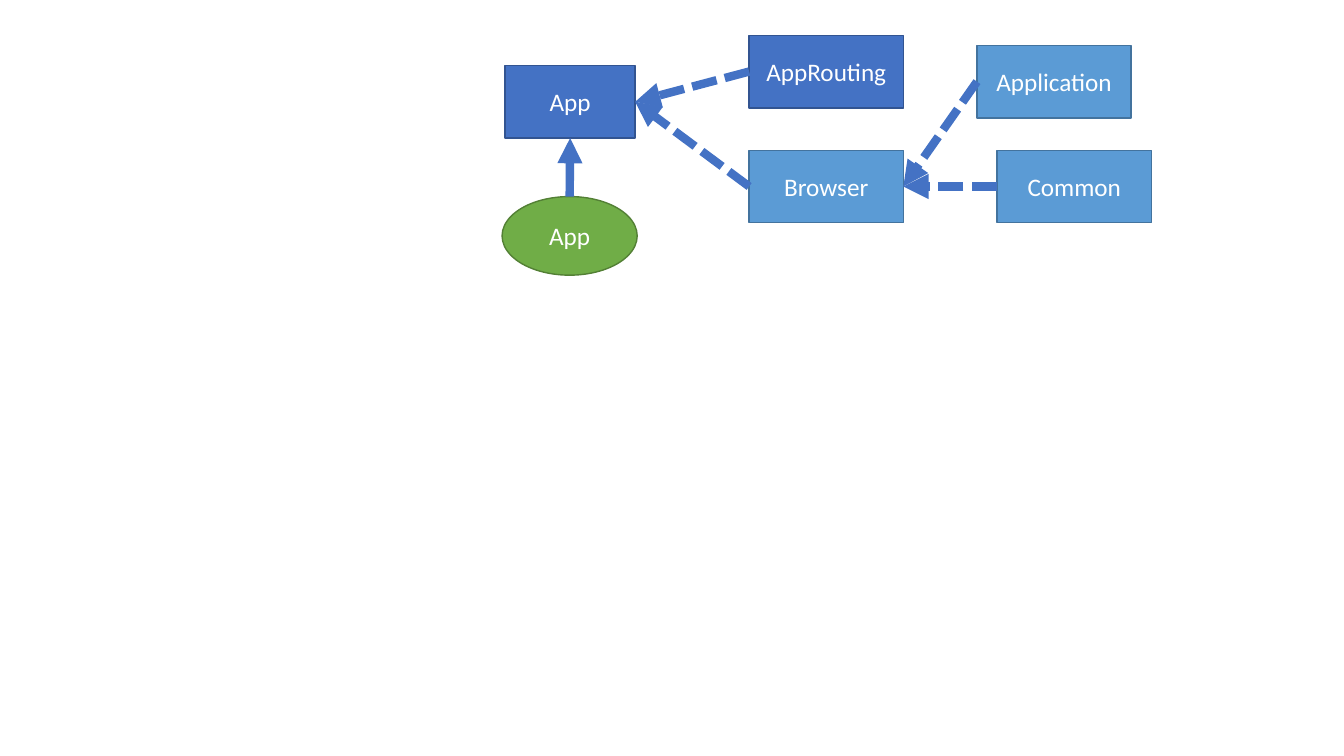
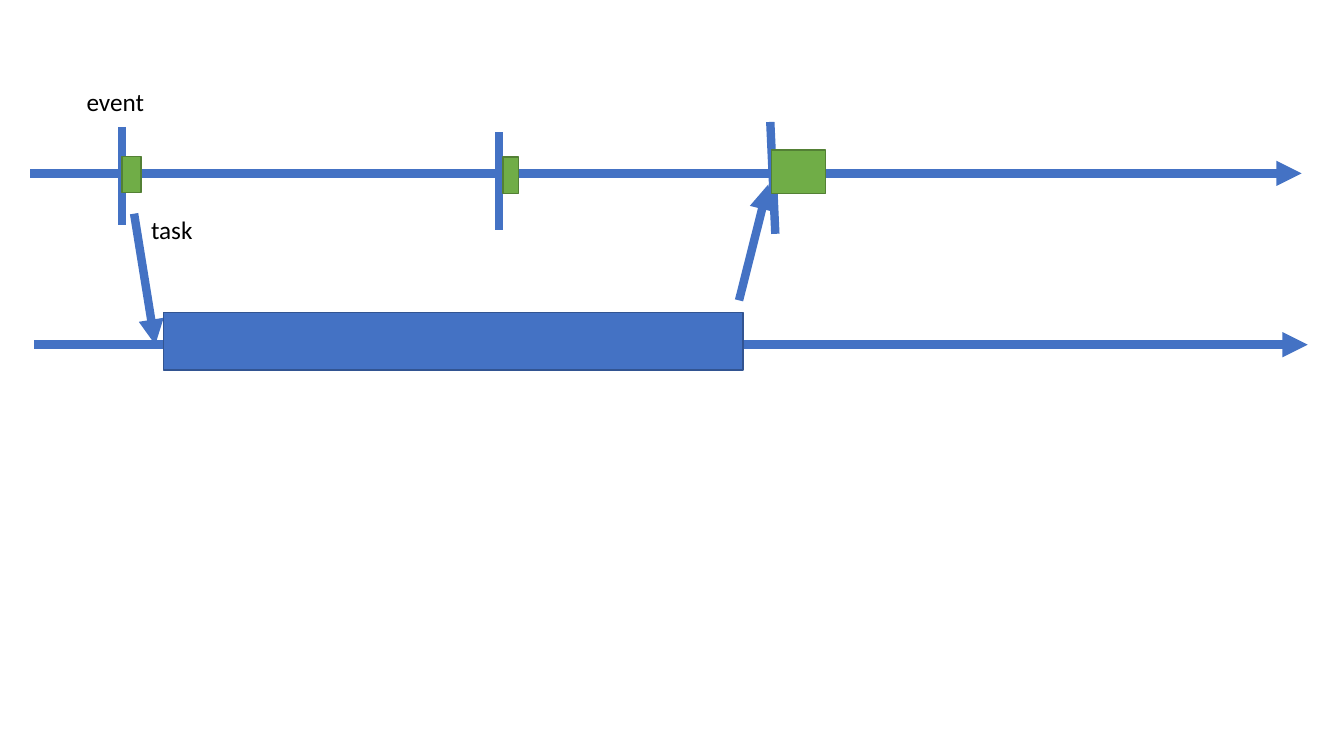
from pptx import Presentation
from pptx.dml.color import RGBColor
from pptx.enum.dml import MSO_LINE
from pptx.enum.shapes import MSO_CONNECTOR, MSO_SHAPE
from pptx.enum.text import MSO_ANCHOR, MSO_AUTO_SIZE, PP_ALIGN
from pptx.oxml.ns import qn
from pptx.util import Emu, Pt
from lxml import etree

PX = 9144  # 100 px to the inch
SLIDE_WIDTH, SLIDE_HEIGHT = 1333, 750
FONT, FONT_SIZE = "Calibri", Pt(18)

BLUE = RGBColor(0x44, 0x72, 0xC4)
WHITE = RGBColor(0xFF, 0xFF, 0xFF)
BLACK = RGBColor(0x00, 0x00, 0x00)
# (fill, outline)
BLUE_STYLE = (BLUE, RGBColor(0x32, 0x54, 0x91))
LIGHT_STYLE = (RGBColor(0x5B, 0x9B, 0xD5), RGBColor(0x43, 0x73, 0x9E))
GREEN_STYLE = (RGBColor(0x70, 0xAD, 0x47), RGBColor(0x53, 0x80, 0x35))

RECTANGLE, OVAL = MSO_SHAPE.RECTANGLE, MSO_SHAPE.OVAL
STRAIGHT = MSO_CONNECTOR.STRAIGHT
DASHED = MSO_LINE.SQUARE_DOT
CENTER, MIDDLE = PP_ALIGN.CENTER, MSO_ANCHOR.MIDDLE
GROW = MSO_AUTO_SIZE.SHAPE_TO_FIT_TEXT
TOP, LEFT, BOTTOM, RIGHT = range(4)


def px(value):
    return Emu(int(value * PX))


def place(origin, box):
    """Turn a box (left, top, width, height) inside a region into slide EMU."""
    left, top, width, height = box
    return px(origin[0] + left), px(origin[1] + top), px(width), px(height)


def write(paragraph, text, color):
    run = paragraph.add_run()
    run.text = text
    run.font.name = FONT
    run.font.size = FONT_SIZE
    run.font.color.rgb = color


def add_block(slide, origin, box, style, text="", kind=RECTANGLE):
    shape = slide.shapes.add_shape(kind, *place(origin, box))
    fill, outline = style
    shape.shadow.inherit = False
    shape.fill.solid()
    shape.fill.fore_color.rgb = fill
    shape.line.color.rgb = outline
    shape.line.width = Pt(1)
    if text:
        shape.text_frame.vertical_anchor = MIDDLE
        paragraph = shape.text_frame.paragraphs[0]
        paragraph.alignment = CENTER
        write(paragraph, text, WHITE)
    return shape


def add_label(slide, origin, box, text):
    frame = slide.shapes.add_textbox(*place(origin, box)).text_frame
    frame.word_wrap = False
    frame.auto_size = GROW
    write(frame.paragraphs[0], text, BLACK)


def add_line(slide, origin=(0, 0), start=(0, 0), end=(0, 0), arrow=True, dashed=False):
    points = [px(base + offset) for point in (start, end)
              for base, offset in zip(origin, point)]
    connector = slide.shapes.add_connector(STRAIGHT, *points)
    connector.line.color.rgb = BLUE
    connector.line.width = Pt(6)
    if dashed:
        connector.line.dash_style = DASHED
    if arrow:
        etree.SubElement(connector.line._get_or_add_ln(), qn("a:tailEnd"), type="triangle")
    etree.SubElement(connector._element.spPr, qn("a:effectLst"))
    return connector


def join(slide, source, source_side, target, target_side, dashed=True):
    connector = add_line(slide, dashed=dashed)
    connector.begin_connect(source, source_side)
    connector.end_connect(target, target_side)


def draw_modules(slide, origin):
    """Modules that import one another, and the component that starts them."""
    width, height = 153, 72
    app = add_block(slide, origin, (3, 30, 129, height), BLUE_STYLE, "App")
    component = add_block(slide, origin, (0, 160, 134, 78), GREEN_STYLE, "App", OVAL)
    modules = {
        name: add_block(slide, origin, (left, top, width, height), style, name)
        for name, left, top, style in (
            ("AppRouting", 245, 0, BLUE_STYLE),
            ("Browser", 245, 114, LIGHT_STYLE),
            ("Common", 491, 114, LIGHT_STYLE),
            ("Application", 471, 10, LIGHT_STYLE),
        )
    }
    join(slide, component, TOP, app, BOTTOM, dashed=False)
    for name in ("AppRouting", "Browser"):
        join(slide, modules[name], LEFT, app, RIGHT)
    for name in ("Common", "Application"):
        join(slide, modules[name], LEFT, modules["Browser"], RIGHT)


def draw_timelines(slide, origin):
    """An event timeline above, and the timeline of the task it starts below."""
    for start, end in (((0, 91), (1261, 91)),
                       ((4, 261), (1267, 261)),
                       ((103, 131), (124, 261)),
                       ((703, 217), (732, 102))):
        add_line(slide, origin, start, end)
    add_block(slide, origin, (132, 229, 575, 57), BLUE_STYLE)

    for tick_start, tick_end, handler in (
        ((91, 45), (91, 142), (91, 74, 19, 36)),
        ((465, 50), (465, 147), (469, 75, 15, 36)),
        ((734, 40), (739, 151), (735, 68, 54, 43)),
    ):
        add_line(slide, origin, tick_start, tick_end, arrow=False)
        add_block(slide, origin, handler, GREEN_STYLE)

    add_label(slide, origin, (46, 0, 78, 40), "event")
    add_label(slide, origin, (110, 127, 62, 40), "task")


def main():
    presentation = Presentation()
    presentation.slide_width = px(SLIDE_WIDTH)
    presentation.slide_height = px(SLIDE_HEIGHT)
    blank = presentation.slide_layouts[6]
    for draw, origin in ((draw_modules, (498, 35)), (draw_timelines, (30, 81))):
        draw(presentation.slides.add_slide(blank), origin)
    presentation.save("out.pptx")


if __name__ == "__main__":
    main()
